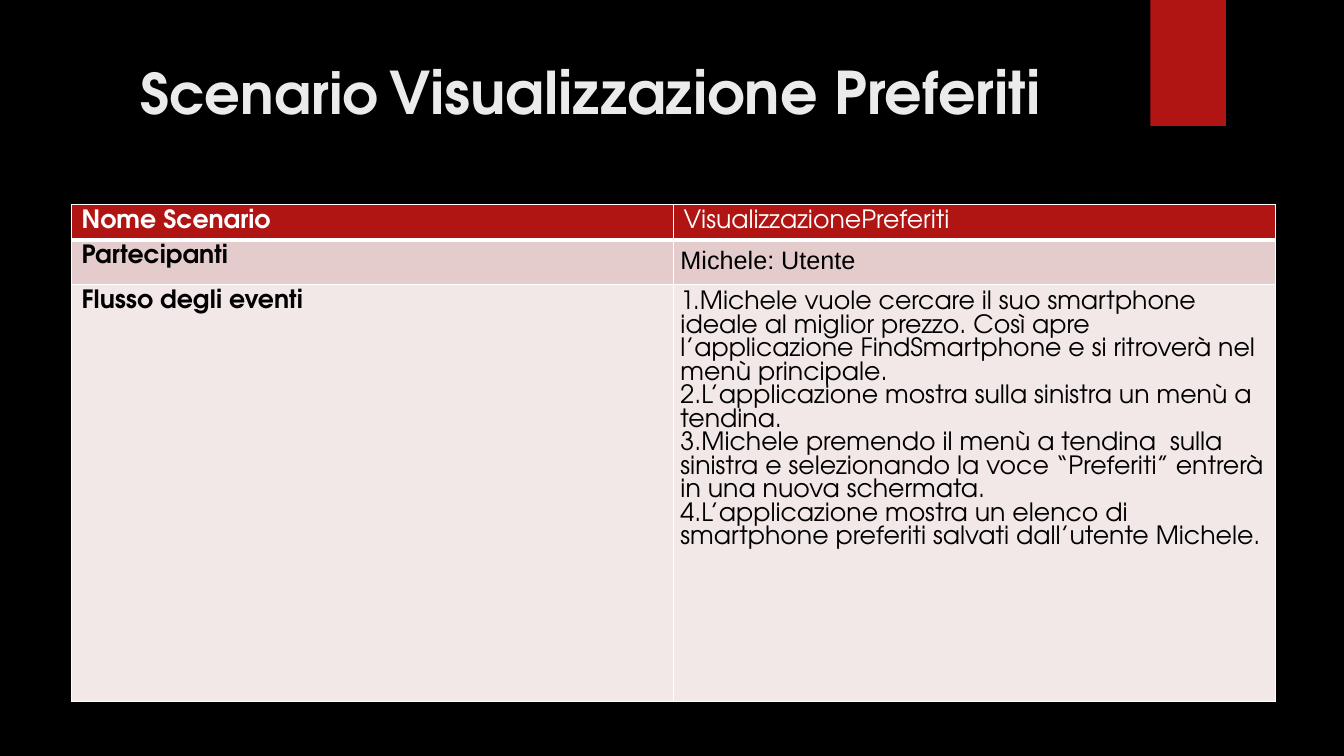
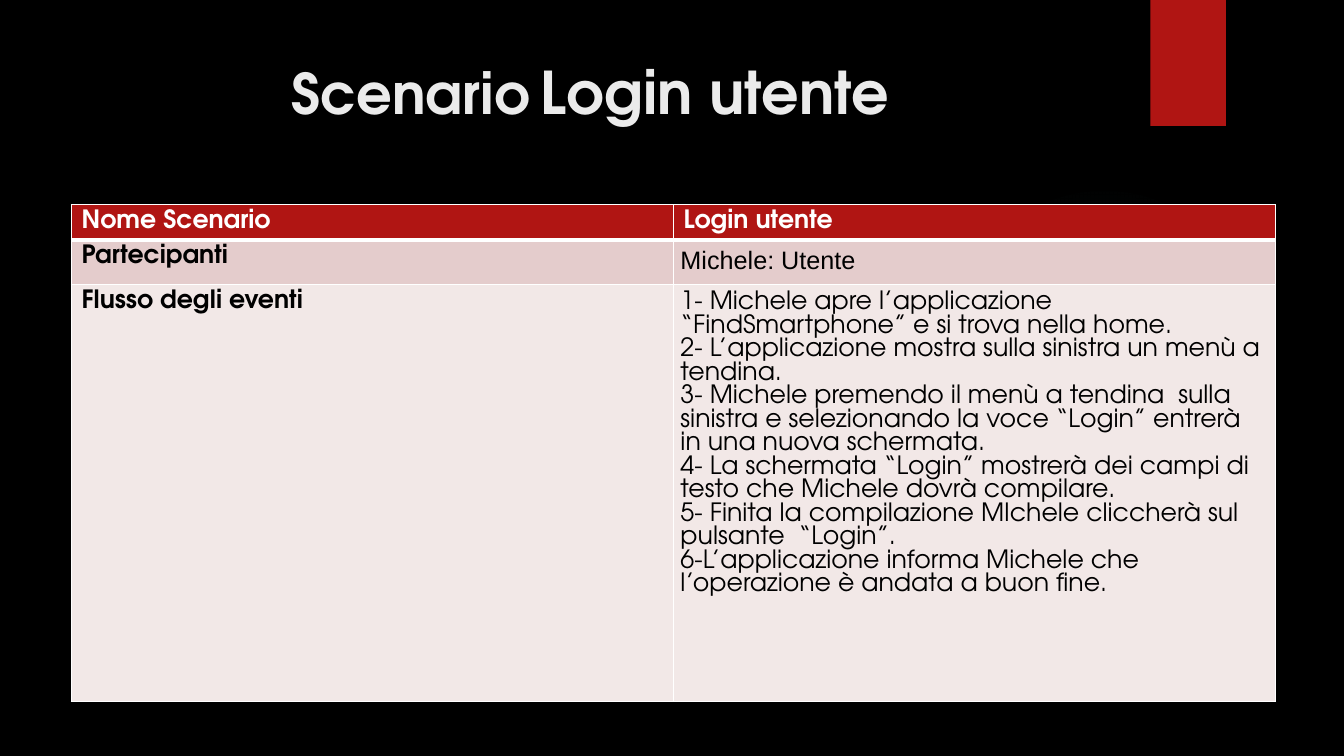
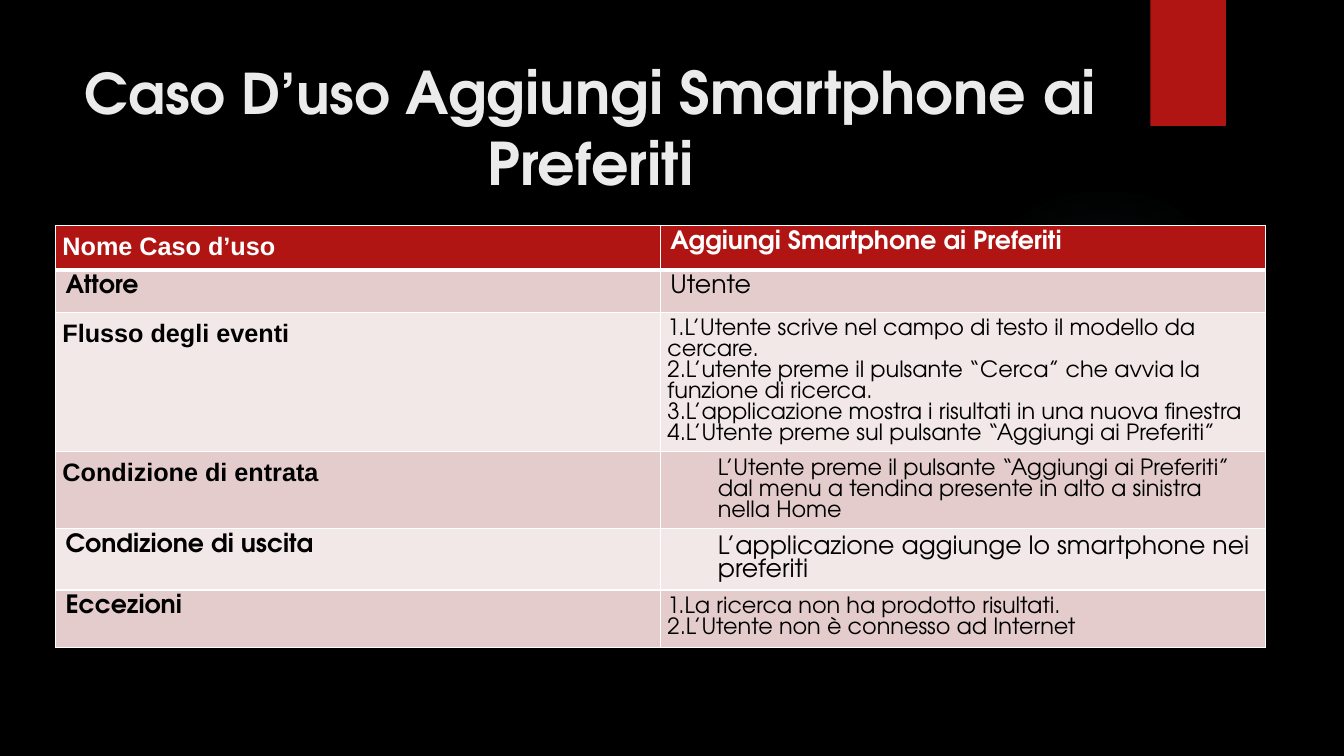
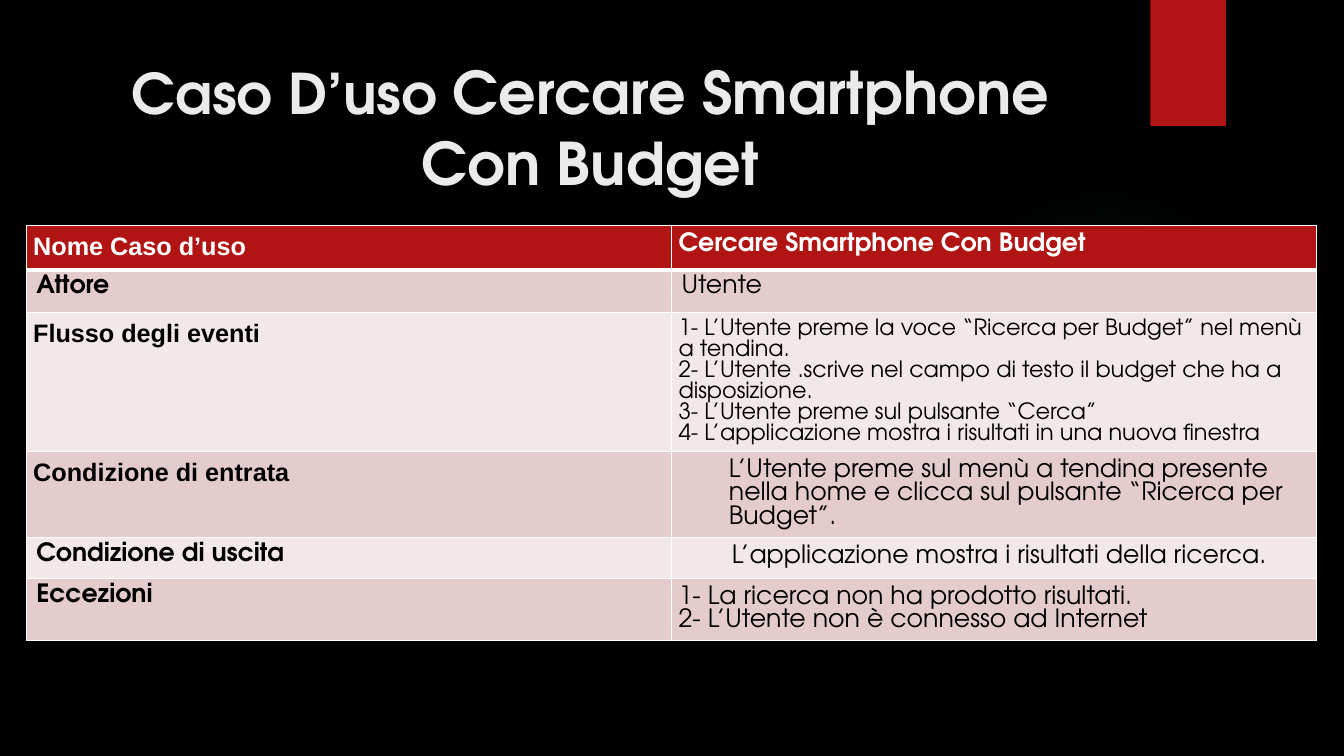
from dataclasses import dataclass

from lxml.etree import SubElement
from pptx import Presentation
from pptx.dml.color import RGBColor
from pptx.enum.shapes import MSO_SHAPE
from pptx.enum.text import MSO_ANCHOR, PP_ALIGN
from pptx.oxml import parse_xml
from pptx.oxml.ns import nsdecls, qn
from pptx.util import Inches, Pt


@dataclass(frozen=True)
class Theme:
    background: str = "000000"
    accent: str = "B01513"
    glow: str = "50B9C1"
    title: str = "EBEBEB"
    header_text: str = "FFFFFF"
    body_text: str = "000000"
    border: str = "FFFFFF"
    bands: tuple = ("F2E8E7", "E4CCCC")
    display_font: str = "TeX Gyre Adventor"
    plain_font: str = "Arial"
    prefix_size: float = 40
    title_size: float = 42
    title_pitch: float = 50.7
    body_size: float = 18
    small_size: float = 16
    body_pitch: float = 0.933
    tight_inset: float = 0.07


THEME = Theme()


@dataclass(frozen=True)
class Entry:
    lines: tuple
    size: float = THEME.body_size
    font: str = THEME.display_font
    bold: bool = False
    tight: bool = True
    indent: float = 0
    numbered: bool = False


def label(text):
    return Entry((text,), bold=True, tight=False)


def plain_label(text):
    return Entry((text,), font=THEME.plain_font, bold=True)


def value(text):
    return Entry((text,), tight=False)


def steps(*lines, **style):
    return Entry(lines, **style)


def condition(text, size=THEME.body_size, indent=0.5):
    return Entry((text,), size=size, indent=indent)


def color(code):
    return RGBColor.from_string(code)


def add_backdrop(slide):
    glow = slide.shapes.add_shape(
        MSO_SHAPE.OVAL, Inches(9.41), Inches(1.83), Inches(3.08), Inches(3.08))
    ribbon = slide.shapes.add_shape(
        MSO_SHAPE.RECTANGLE, Inches(11.41), 0, Inches(0.75), Inches(1.25))
    for decoration in (glow, ribbon):
        decoration.shadow.inherit = False
        decoration.line.fill.background()
    ribbon.fill.solid()
    ribbon.fill.fore_color.rgb = color(THEME.accent)
    stops = "".join(
        f'<a:gs pos="{position * 1000}"><a:srgbClr val="{THEME.glow}">'
        f'<a:alpha val="{opacity * 1000}"/></a:srgbClr></a:gs>'
        for position, opacity in ((0, 7), (36, 6), (69, 0), (100, 0)))
    gradient = parse_xml(
        f'<a:gradFill {nsdecls("a")}><a:gsLst>{stops}</a:gsLst><a:path path="circle">'
        '<a:fillToRect l="50000" t="50000" r="50000" b="50000"/></a:path></a:gradFill>')
    glow._element.spPr.find(qn("a:prstGeom")).addnext(gradient)


def add_title(slide, parts):
    heading = slide.shapes.add_textbox(
        Inches(0.71), Inches(0.5), Inches(10.29), Inches(1.53)).text_frame
    heading.word_wrap = True
    heading.vertical_anchor = MSO_ANCHOR.TOP
    paragraph = heading.paragraphs[0]
    paragraph.alignment = PP_ALIGN.CENTER
    paragraph.line_spacing = Pt(THEME.title_pitch)
    paragraph.font.name = THEME.display_font
    paragraph.font.bold = True
    paragraph.font.color.rgb = color(THEME.title)
    for text, size in parts:
        run = paragraph.add_run()
        run.text = text
        run.font.size = Pt(size)


def set_borders(cell, top, bottom):
    properties = cell._tc.get_or_add_tcPr()
    for side, width in (("L", 1), ("R", 1), ("T", top), ("B", bottom)):
        properties.append(parse_xml(
            f'<a:ln{side} {nsdecls("a")} w="{Pt(width)}"><a:solidFill>'
            f'<a:srgbClr val="{THEME.border}"/></a:solidFill></a:ln{side}>'))


def write_entry(cell, entry, text_color):
    if entry.tight:
        inset = Inches(THEME.tight_inset)
        cell.margin_left = cell.margin_right = inset
        cell.margin_top = cell.margin_bottom = inset
    frame = cell.text_frame
    for index, line in enumerate(entry.lines):
        paragraph = frame.paragraphs[0] if index == 0 else frame.add_paragraph()
        paragraph.text = line
        properties = paragraph._p.get_or_add_pPr()
        properties.set("marL", str(Inches(entry.indent)))
        properties.set("indent", "0")
        if entry.numbered:
            SubElement(properties, qn("a:buAutoNum"), type="arabicPeriod")
        if entry.font == THEME.display_font:
            paragraph.line_spacing = Pt(entry.size * THEME.body_pitch)
        paragraph.font.name = entry.font
        paragraph.font.size = Pt(entry.size)
        paragraph.font.bold = entry.bold
        paragraph.font.color.rgb = color(text_color)


def add_table(slide, left, top, column_width, heights, rows):
    table = slide.shapes.add_table(
        len(rows), 2, Inches(left), Inches(top),
        Inches(2 * column_width), Inches(sum(heights))).table
    table.horz_banding = False
    for column in table.columns:
        column.width = Inches(column_width)
    for index, (height, entries) in enumerate(zip(heights, rows)):
        table.rows[index].height = Inches(height)
        is_header = index == 0
        for column, entry in enumerate(entries):
            cell = table.cell(index, column)
            set_borders(cell, 3 if index == 1 else 1, 3 if is_header else 1)
            cell.fill.solid()
            cell.fill.fore_color.rgb = color(
                THEME.accent if is_header else THEME.bands[index % 2])
            write_entry(cell, entry, THEME.header_text if is_header else THEME.body_text)


def add_base_slide(presentation, title_parts):
    slide = presentation.slides.add_slide(presentation.slide_layouts[6])
    add_backdrop(slide)
    add_title(slide, title_parts)
    return slide


def add_scenario(presentation, title, name, flow):
    slide = add_base_slide(presentation, (
        ("Scenario", THEME.prefix_size), (" ", 28), (title, THEME.title_size)))
    add_table(slide, 0.71, 2.03, 5.97, (0.35, 0.42, 4.14), (
        (label("Nome Scenario"), name),
        (label("Partecipanti"), Entry(("Michele: Utente",), font=THEME.plain_font)),
        (label("Flusso degli eventi"), flow)))


def add_use_case(presentation, title, name, left, column_width, heights,
                 flow, entry_condition, exit_condition, exceptions):
    slide = add_base_slide(presentation, (
        ("Caso D’uso ", THEME.prefix_size), (title, THEME.title_size)))
    add_table(slide, left, 2.24, column_width, heights, (
        (plain_label("Nome Caso d’uso"), name),
        (label("Attore"), value("Utente")),
        (plain_label("Flusso degli eventi"), flow),
        (plain_label("Condizione di entrata"), entry_condition),
        (label("Condizione di uscita"), exit_condition),
        (label("Eccezioni"), exceptions)))


def main():
    presentation = Presentation()
    presentation.slide_width = Inches(13.33)
    presentation.slide_height = Inches(7.5)
    backdrop = presentation.slide_master.background.fill
    backdrop.solid()
    backdrop.fore_color.rgb = color(THEME.background)

    add_scenario(
        presentation, "Visualizzazione Preferiti", value("VisualizzazionePreferiti"),
        steps(
            "Michele vuole cercare il suo smartphone ideale al miglior prezzo. Così apre "
            "l’applicazione FindSmartphone e si ritroverà nel menù principale.",
            "L’applicazione mostra sulla sinistra un menù a tendina.",
            "Michele premendo il menù a tendina  sulla sinistra e selezionando la voce "
            "“Preferiti” entrerà in una nuova schermata.",
            "L’applicazione mostra un elenco di smartphone preferiti salvati "
            "dall’utente Michele.",
            numbered=True))

    add_scenario(
        presentation, "Login utente", label("Login utente"),
        steps(
            "1- Michele apre l’applicazione “FindSmartphone” e si trova nella home.",
            "2- L’applicazione mostra sulla sinistra un menù a tendina.",
            "3- Michele premendo il menù a tendina  sulla sinistra e selezionando la voce "
            "“Login” entrerà in una nuova schermata.",
            "4- La schermata “Login” mostrerà dei campi di testo che Michele dovrà "
            "compilare.",
            "5- Finita la compilazione MIchele cliccherà sul pulsante  “Login”.",
            "6-L’applicazione informa Michele che l’operazione è andata a buon fine."))

    add_use_case(
        presentation, "Aggiungi Smartphone ai Preferiti",
        label("Aggiungi Smartphone ai Preferiti"),
        0.55, 6, (0.42, 0.42, 1.38, 0.76, 0.61, 0.57),
        steps(
            "L’Utente scrive nel campo di testo il modello da cercare.",
            "L’utente preme il pulsante “Cerca” che avvia la funzione di ricerca.",
            "L’applicazione mostra i risultati in una nuova finestra",
            "L’Utente preme sul pulsante “Aggiungi ai Preferiti”",
            size=THEME.small_size, numbered=True),
        condition(
            "L’Utente preme il pulsante “Aggiungi ai Preferiti” dal menu a tendina "
            "presente in alto a sinistra nella Home", size=THEME.small_size),
        condition("L’applicazione aggiunge lo smartphone nei preferiti"),
        steps(
            "La ricerca non ha prodotto risultati.",
            "L’Utente non è connesso ad Internet",
            size=THEME.small_size, numbered=True))

    add_use_case(
        presentation, "Cercare Smartphone Con Budget",
        Entry(("Cercare Smartphone Con Budget",), bold=True),
        0.26, 6.4, (0.42, 0.42, 1.38, 0.85, 0.41, 0.61),
        steps(
            "1- L’Utente preme la voce “Ricerca per Budget” nel menù a tendina.",
            "2- L’Utente .scrive nel campo di testo il budget che ha a disposizione.",
            "3- L’Utente preme sul pulsante “Cerca”",
            "4- L’applicazione mostra i risultati in una nuova finestra",
            size=THEME.small_size),
        condition(
            "L’Utente preme sul menù a tendina presente nella home e clicca sul "
            "pulsante “Ricerca per Budget”."),
        condition("L’applicazione mostra i risultati della ricerca.", indent=0.53),
        steps(
            "1- La ricerca non ha prodotto risultati.",
            "2- L’Utente non è connesso ad Internet"))

    presentation.save("out.pptx")


if __name__ == "__main__":
    main()
